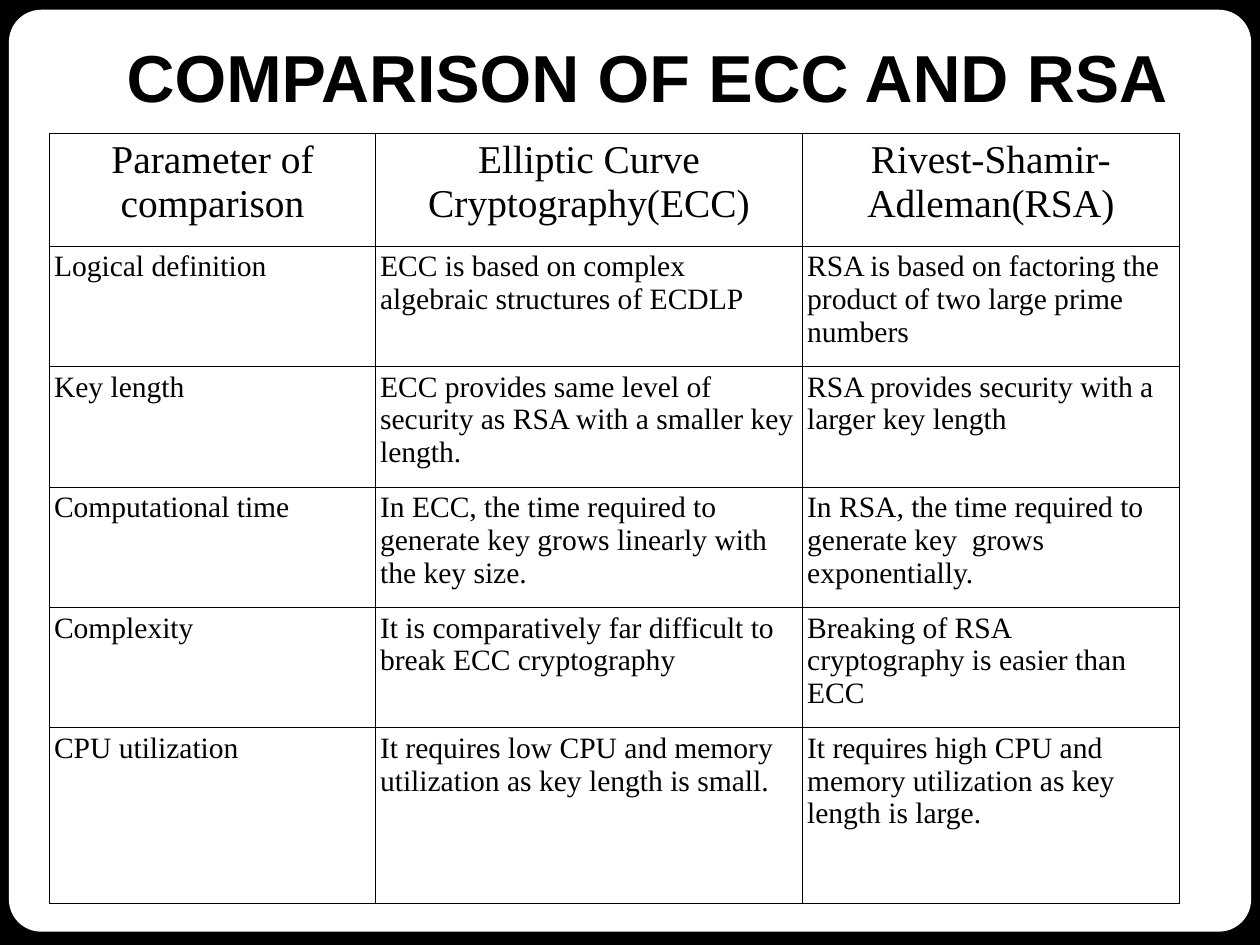
from lxml import etree
from pptx import Presentation
from pptx.dml.color import RGBColor
from pptx.enum.shapes import MSO_SHAPE
from pptx.enum.text import MSO_ANCHOR, MSO_AUTO_SIZE, PP_ALIGN
from pptx.oxml.ns import qn
from pptx.util import Inches, Pt

ROUND = MSO_SHAPE.ROUNDED_RECTANGLE
TOP, BOTTOM = MSO_ANCHOR.TOP, MSO_ANCHOR.BOTTOM
LEFT, CENTER = PP_ALIGN.LEFT, PP_ALIGN.CENTER
NO_FIT = MSO_AUTO_SIZE.NONE

COLORS = {"ink": "000000", "paper": "FFFFFF"}
WIDTHS = [3.68, 4.82, 4.25]
HEIGHTS = [1.27] + [1.36] * 4 + [1.98]
ROWS = [
    ["Parameter of comparison", "Elliptic Curve Cryptography(ECC)",
     "Rivest-Shamir-Adleman(RSA)"],
    ["Logical definition",
     "ECC is based on complex algebraic structures of ECDLP",
     "RSA is based on factoring the product of two large prime numbers"],
    ["Key length",
     "ECC provides same level of security as RSA with a smaller key length.",
     "RSA provides security with a larger key length"],
    ["Computational time",
     "In ECC, the time required to generate key grows linearly with the key size.",
     "In RSA, the time required to generate key  grows exponentially."],
    ["Complexity",
     "It is comparatively far difficult to break ECC cryptography",
     "Breaking of RSA cryptography is easier than ECC"],
    ["CPU utilization",
     "It requires low CPU and memory utilization as key length is small.",
     "It requires high CPU and memory utilization as key length is large."],
]


def color(name):
    return RGBColor.from_string(COLORS[name])


def write(frame, text, size=24, font="Times New Roman", bold=False, align=LEFT):
    para = frame.paragraphs[0]
    para.alignment = align
    run = para.add_run()
    run.text = text
    run.font.name = font
    run.font.size = Pt(size)
    run.font.bold = bold
    run.font.color.rgb = color("ink")


def pad(item, inset):
    """Set equal margins on a cell or a text frame."""
    item.margin_left = item.margin_right = Inches(inset)
    item.margin_top = item.margin_bottom = Inches(inset)


def add_panel(slide, box):
    fill = slide.background.fill
    fill.solid()
    fill.fore_color.rgb = color("ink")
    panel = slide.shapes.add_shape(ROUND, *map(Inches, box))
    panel.adjustments[0] = 0.035
    panel.shadow.inherit = False
    panel.fill.solid()
    panel.fill.fore_color.rgb = color("paper")
    panel.line.fill.background()
    slide.shapes.title.element.addprevious(panel.element)


def set_title(slide, box, text):
    title = slide.shapes.title
    title.left, title.top, title.width, title.height = map(Inches, box)
    frame = title.text_frame
    frame.auto_size = NO_FIT
    frame.word_wrap = True
    frame.vertical_anchor = BOTTOM
    pad(frame, 0.07)
    write(frame, text, size=54, font="Arial", bold=True, align=CENTER)


def add_border(cell):
    props = cell._tc.get_or_add_tcPr()
    for spot, side in enumerate(("lnL", "lnR", "lnT", "lnB")):
        line = etree.Element(qn("a:" + side), w=str(Pt(1)))
        fill = etree.SubElement(line, qn("a:solidFill"))
        etree.SubElement(fill, qn("a:srgbClr"), val=COLORS["ink"])
        props.insert(spot, line)


def add_grid(slide, box, rows):
    table = slide.shapes.add_table(
        len(rows), len(WIDTHS), *map(Inches, box)).table
    table.horz_banding = False
    table.first_row = False
    for col, width in zip(table.columns, WIDTHS):
        col.width = Inches(width)
    for row, height in zip(table.rows, HEIGHTS):
        row.height = Inches(height)
    for i, texts in enumerate(rows):
        style = {"size": 32, "align": CENTER} if i == 0 else {}
        for j, text in enumerate(texts):
            cell = table.cell(i, j)
            cell.fill.solid()
            cell.fill.fore_color.rgb = color("paper")
            cell.vertical_anchor = TOP
            pad(cell, 0.05)
            add_border(cell)
            write(cell.text_frame, text, **style)


def main():
    deck = Presentation()
    deck.slide_width, deck.slide_height = Inches(14.22), Inches(10.67)
    slide = deck.slides.add_slide(deck.slide_layouts[5])
    add_panel(slide, (0.1, 0.11, 14.02, 10.41))
    set_title(slide, (1.26, 0, 12.09, 1.38), "COMPARISON OF ECC AND RSA")
    add_grid(slide, (0.56, 1.51, sum(WIDTHS), sum(HEIGHTS)), ROWS)
    deck.save("out.pptx")


if __name__ == "__main__":
    main()
